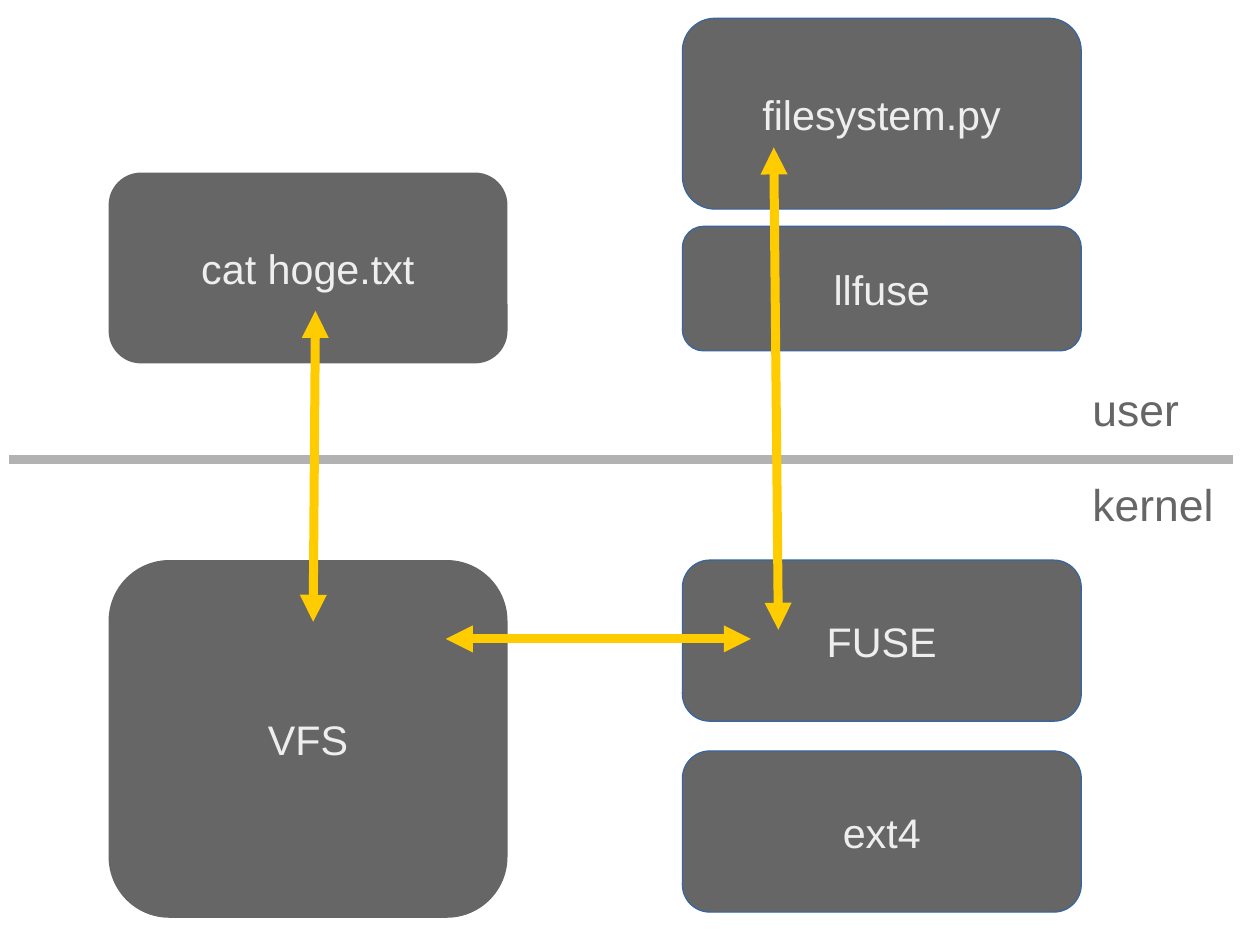
import pptx
import pptx.util
import pptx.dml.color
import pptx.enum.shapes
import pptx.enum.text
import pptx.oxml.ns
import lxml.etree

PX = 9144  # 100 px to the inch


def rgb(value):
    return pptx.dml.color.RGBColor.from_string(value)


def write(sp, text, size, color, frame):
    tf = sp.text_frame
    for name, value in frame.items():
        setattr(tf, name, value)
    r = tf.paragraphs[0].add_run()
    r.text = text
    for name, value in {"name": "Arial", "size": pptx.util.Pt(size)}.items():
        setattr(r.font, name, value)
    r.font.color.rgb = rgb(color)
    return tf.paragraphs[0]


prs = pptx.Presentation()
prs.slide_width = pptx.util.Cm(28)
prs.slide_height = pptx.util.Cm(21)
s = prs.slides.add_slide(prs.slide_layouts[6])

# Component boxes: text, left, top, height, outlined
LEFT, RIGHT, BOX_WIDTH = 95, 597, 349
boxes = [
    ("filesystem.py", RIGHT, 16, 167, True),
    ("FUSE", RIGHT, 490, 141, True),
    ("cat hoge.txt", LEFT, 151, 167, False),
    ("VFS", LEFT, 490, 313, False),
    ("llfuse", RIGHT, 198, 109, True),
    ("ext4", RIGHT, 657, 141, True),
]
box_frame = {"word_wrap": False,
             "vertical_anchor": pptx.enum.text.MSO_ANCHOR.MIDDLE}
for text, x, y, height, outlined in boxes:
    sp = s.shapes.add_shape(pptx.enum.shapes.MSO_SHAPE.ROUNDED_RECTANGLE,
                            x * PX, y * PX, BOX_WIDTH * PX, height * PX)
    sp.adjustments[0] = 0.17
    sp.shadow.inherit = False
    sp.fill.solid()
    sp.fill.fore_color.rgb = rgb("666666")
    if outlined:
        sp.line.color.rgb = rgb("3465A4")
        sp.line.width = 0
    else:
        sp.line.fill.background()
    p = write(sp, text, 26, "EEEEEE", box_frame)
    p.alignment = pptx.enum.text.PP_ALIGN.CENTER

# Labels of the two spaces
label_frame = {"word_wrap": True,
               "auto_size": pptx.enum.text.MSO_AUTO_SIZE.SHAPE_TO_FIT_TEXT}
for text, y, height in [("kernel", 412, 71), ("user", 329, 70)]:
    sp = s.shapes.add_textbox(946 * PX, y * PX, 133 * PX, height * PX)
    write(sp, text, 28, "666666", label_frame)

# User/kernel boundary, then the two-way arrows
lines = [
    (8, 402, 1079, 402, "B2B2B2", False),
    (276, 272, 274, 544, "FFCC00", True),
    (390, 559, 657, 559, "FFCC00", True),
    (681, 551, 677, 129, "FFCC00", True),
]
for x1, y1, x2, y2, color, arrow in lines:
    cx = s.shapes.add_connector(pptx.enum.shapes.MSO_CONNECTOR.STRAIGHT,
                                x1 * PX, y1 * PX, x2 * PX, y2 * PX)
    cx.line.color.rgb = rgb(color)
    cx.line.width = pptx.util.Pt(5.67)
    spPr = cx._element.spPr
    lxml.etree.SubElement(spPr, pptx.oxml.ns.qn("a:effectLst"))
    if arrow:
        ln = spPr.find(pptx.oxml.ns.qn("a:ln"))
        for end in ("a:headEnd", "a:tailEnd"):
            lxml.etree.SubElement(ln, pptx.oxml.ns.qn(end), type="triangle")

prs.save("out.pptx")
